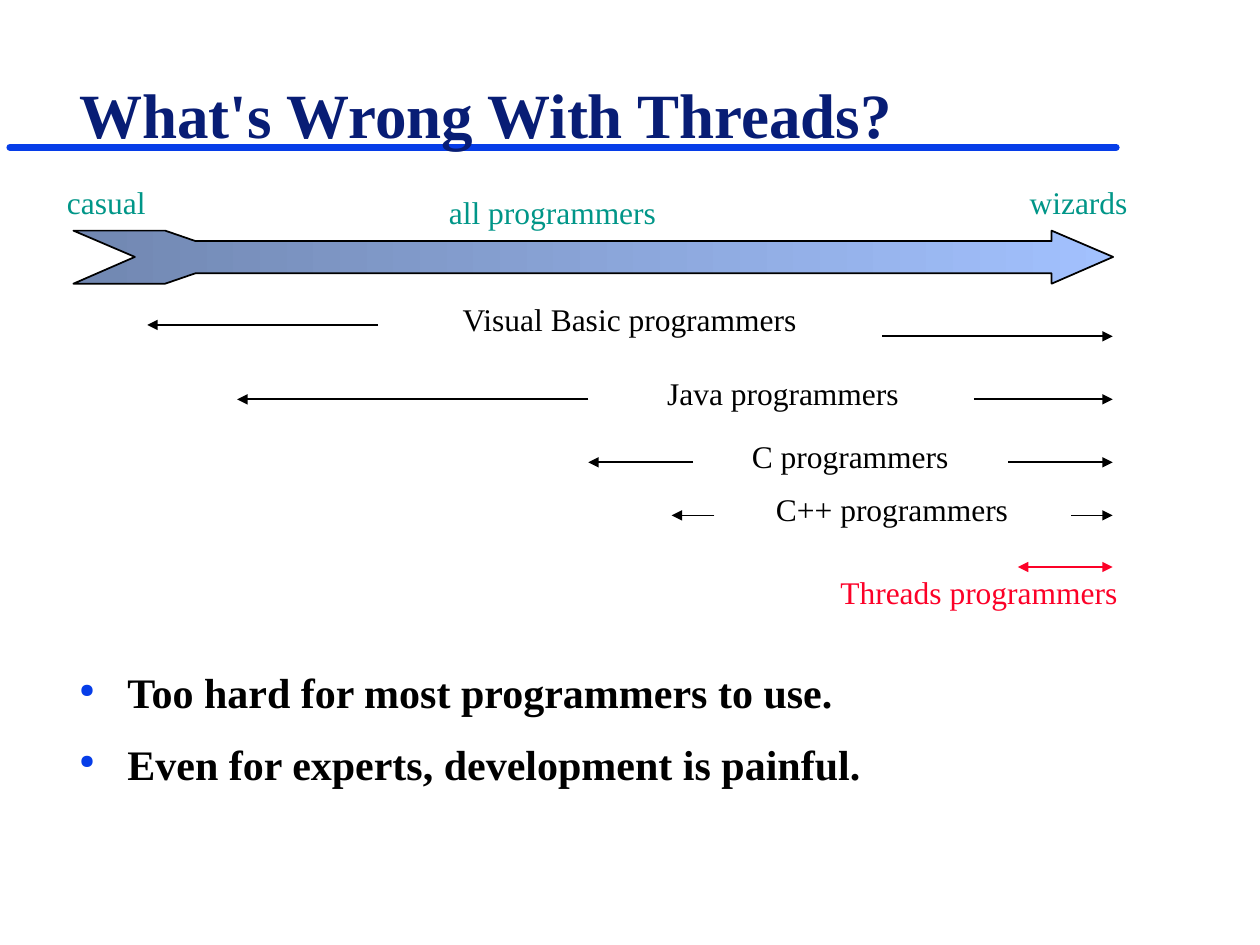
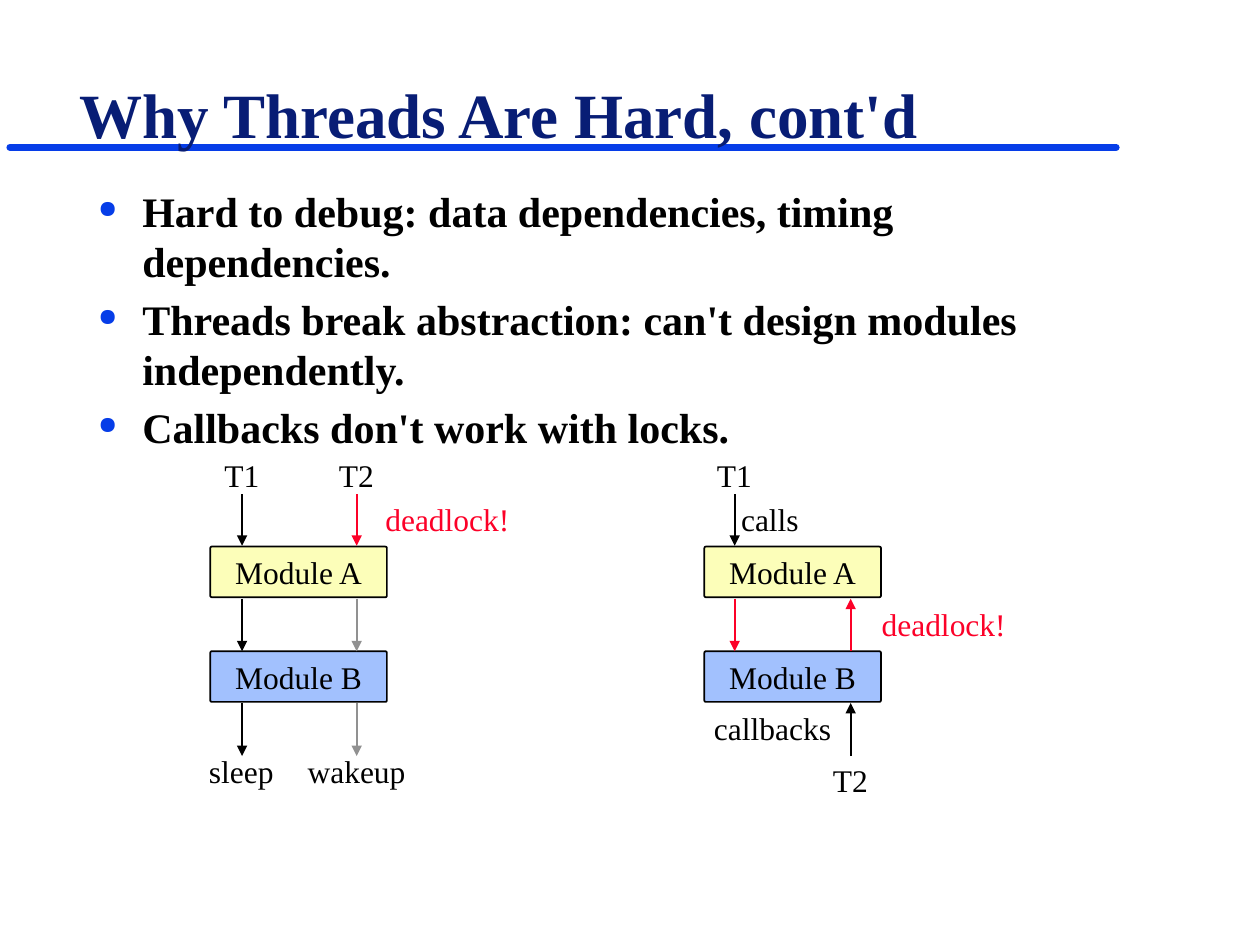
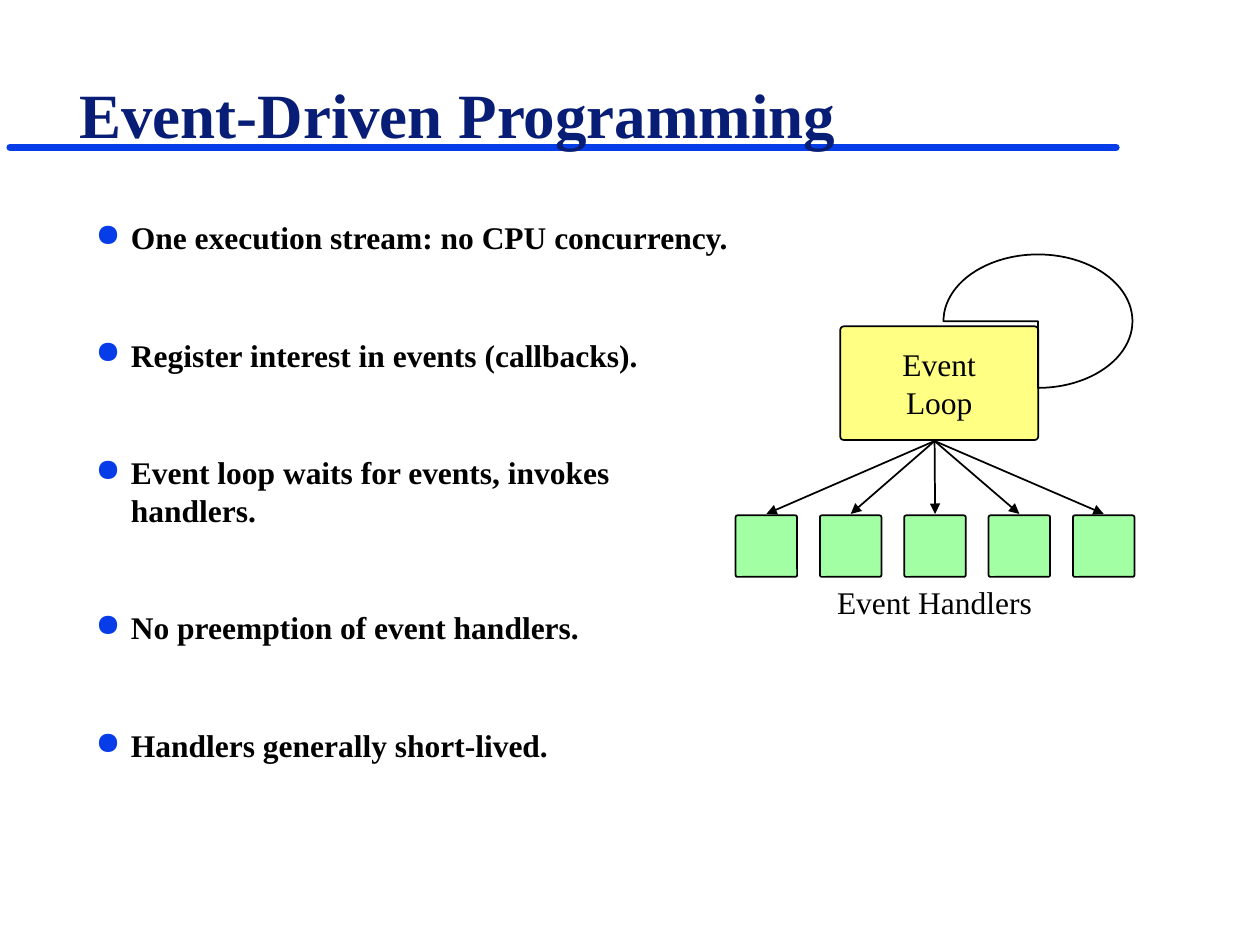
"""Build three slides on the difficulty of threads and on event-driven programming."""
from lxml import etree
from pptx import Presentation
from pptx.dml.color import RGBColor
from pptx.enum.shapes import MSO_CONNECTOR, MSO_SHAPE
from pptx.enum.text import MSO_ANCHOR, PP_ALIGN
from pptx.oxml.ns import qn
from pptx.util import Cm, Pt

STRAIGHT = MSO_CONNECTOR.STRAIGHT
ROUNDED = MSO_SHAPE.ROUNDED_RECTANGLE
PIE = MSO_SHAPE.PIE
LEFT, CENTER, RIGHT = PP_ALIGN.LEFT, PP_ALIGN.CENTER, PP_ALIGN.RIGHT
TOP, MIDDLE, BOTTOM = MSO_ANCHOR.TOP, MSO_ANCHOR.MIDDLE, MSO_ANCHOR.BOTTOM

FONT = "Times New Roman"
BLACK = RGBColor(0x00, 0x00, 0x00)
NAVY = RGBColor(0x08, 0x1D, 0x75)
BLUE = RGBColor(0x06, 0x3D, 0xE8)
TEAL = RGBColor(0x00, 0x96, 0x88)
RED = RGBColor(0xFC, 0x01, 0x28)
GRAY = RGBColor(0x91, 0x91, 0x91)
STEEL = RGBColor(0x71, 0x87, 0xB1)
LIGHT_BLUE = RGBColor(0xA2, 0xC1, 0xFE)
CREAM = RGBColor(0xFC, 0xFE, 0xB9)
YELLOW = RGBColor(0xFF, 0xFF, 0x84)
GREEN = RGBColor(0xA2, 0xFF, 0xA3)


def write_text(text_frame, text, size=18, color=BLACK, alignment=LEFT, anchor=TOP, bold=False):
    text_frame.text = text
    text_frame.word_wrap = True
    text_frame.vertical_anchor = anchor
    text_frame.margin_left = text_frame.margin_right = Cm(0.13)
    text_frame.margin_top = text_frame.margin_bottom = Cm(0.13)
    for paragraph in text_frame.paragraphs:
        paragraph.alignment = alignment
        for run in paragraph.runs:
            run.font.name = FONT
            run.font.size = Pt(size)
            run.font.bold = bold
            run.font.color.rgb = color


def add_line(slide, start, end, color=BLACK, width=1, ends=("tailEnd",)):
    connector = slide.shapes.add_connector(STRAIGHT, *map(Cm, start + end))
    connector.line.color.rgb = color
    connector.line.width = Pt(width)
    line = connector.get_or_add_ln()
    for line_end in ends:
        etree.SubElement(line, qn(f"a:{line_end}"), type="triangle")
    etree.SubElement(connector._element.spPr, qn("a:effectLst"))
    return connector


presentation = Presentation()
presentation.slide_width = Cm(25.4)
presentation.slide_height = Cm(19.05)

pages = [
    {
        "title": "What's Wrong With Threads?",
        "body": (13.31, 22.86, 4.9), "size": 24, "indent": 0.97, "hanging": 0.97,
        "gap": 12, "bullet_size": 46,
        "bullets": ["Too hard for most programmers to use.",
                    "Even for experts, development is painful."],
    },
    {
        "title": "Why Threads Are Hard, cont'd",
        "body": (3.61, 21.39, 12.7), "size": 24, "indent": 1.27, "hanging": 0.89,
        "gap": 4, "bullet_size": 58,
        "bullets": ["Hard to debug: data dependencies, timing dependencies.",
                    "Threads break abstraction: can't design modules independently.",
                    "Callbacks don't work with locks."],
    },
    {
        "title": "Event-Driven Programming",
        "body": (4.27, 13.59, 13.94), "size": 18, "indent": 1.04, "hanging": 0.71,
        "gap": 45.5, "bullet_size": 100,
        "bullets": ["One execution stream: no CPU concurrency.",
                    "Register interest in events (callbacks).",
                    "Event loop waits for events, invokes handlers.",
                    "No preemption of event handlers.",
                    "Handlers generally short-lived."],
    },
]

slides = []
for page in pages:
    slide = presentation.slides.add_slide(presentation.slide_layouts[6])
    slides.append(slide)
    rule = add_line(slide, (0.2, 2.97), (22.5, 2.97), BLUE, 4, ends=())
    rule.get_or_add_ln().set("cap", "rnd")
    title = slide.shapes.add_textbox(Cm(1.47), Cm(0.1), Cm(22.86), Cm(3.07))
    write_text(title.text_frame, page["title"], 36, NAVY, anchor=BOTTOM, bold=True)
    top, width, height = page["body"]
    body = slide.shapes.add_textbox(Cm(1.47), Cm(top), Cm(width), Cm(height))
    write_text(body.text_frame, "\n".join(page["bullets"]), page["size"], bold=True)
    for index, paragraph in enumerate(body.text_frame.paragraphs):
        properties = paragraph._p.get_or_add_pPr()
        properties.set("marL", str(Cm(page["indent"])))
        properties.set("indent", str(-Cm(page["hanging"])))
        bullet_color = etree.SubElement(properties, qn("a:buClr"))
        etree.SubElement(bullet_color, qn("a:srgbClr"), val=str(BLUE))
        etree.SubElement(properties, qn("a:buSzPct"), val=str(page["bullet_size"] * 1000))
        etree.SubElement(properties, qn("a:buChar"), char="●")
        if index:
            paragraph.space_before = Pt(page["gap"])

threads_slide, deadlock_slide, events_slide = slides

labels = [
    (threads_slide, "casual", 1.22, 3.56, 2.62, TEAL, LEFT),
    (threads_slide, "wizards", 19.66, 3.56, 3.2, TEAL, RIGHT),
    (threads_slide, "all programmers", 8.92, 3.76, 6.1, TEAL, LEFT),
    (threads_slide, "Visual Basic programmers", 7.82, 5.92, 9.75, BLACK, CENTER),
    (threads_slide, "Java programmers", 11.86, 7.42, 7.85, BLACK, CENTER),
    (threads_slide, "C programmers", 14.17, 8.69, 5.94, BLACK, CENTER),
    (threads_slide, "C++ programmers", 14.58, 9.75, 6.81, BLACK, CENTER),
    (threads_slide, "Threads programmers", 13.74, 11.43, 8.92, RED, RIGHT),
    (deadlock_slide, "T1", 4.01, 9.07, 1.73, BLACK, CENTER),
    (deadlock_slide, "T2", 6.12, 9.07, 2.13, BLACK, CENTER),
    (deadlock_slide, "deadlock!", 7.19, 9.96, 3.66, RED, CENTER),
    (deadlock_slide, "sleep", 3.58, 15.04, 2.57, BLACK, CENTER),
    (deadlock_slide, "wakeup", 5.49, 15.04, 3.4, BLACK, CENTER),
    (deadlock_slide, "T1", 13.94, 9.07, 1.73, BLACK, CENTER),
    (deadlock_slide, "calls", 14.81, 9.96, 3.2, BLACK, LEFT),
    (deadlock_slide, "deadlock!", 17.12, 12.07, 3.81, RED, CENTER),
    (deadlock_slide, "callbacks", 13.77, 14.17, 3.61, BLACK, CENTER),
    (deadlock_slide, "T2", 16.08, 15.21, 2.13, BLACK, CENTER),
    (events_slide, "Event Handlers", 15.65, 11.63, 6.38, BLACK, CENTER),
]
for slide, text, left, top, width, color, alignment in labels:
    label = slide.shapes.add_textbox(Cm(left), Cm(top), Cm(width), Cm(0.97))
    write_text(label.text_frame, text, color=color, alignment=alignment)

handler_lefts = [14.83 + 1.7 * index for index in range(5)]
boxes = [(events_slide, "Event\nLoop", 16.94, 6.58, 3.99, 2.29, YELLOW)]
for left in (4.24, 14.2):
    boxes.append((deadlock_slide, "Module A", left, 11.02, 3.56, 1.02, CREAM))
    boxes.append((deadlock_slide, "Module B", left, 13.13, 3.56, 1.02, LIGHT_BLUE))
for left in handler_lefts:
    boxes.append((events_slide, "", left, 10.39, 1.24, 1.24, GREEN))
for slide, text, left, top, width, height, color in boxes:
    box = slide.shapes.add_shape(ROUNDED, Cm(left), Cm(top), Cm(width), Cm(height))
    box.adjustments[0] = 0.03
    box.shadow.inherit = False
    box.fill.solid()
    box.fill.fore_color.rgb = color
    box.line.color.rgb = BLACK
    box.line.width = Pt(1)
    write_text(box.text_frame, text, alignment=CENTER, anchor=MIDDLE)

skill_outline = [
    (1.48, 4.65), (3.33, 4.65), (3.94, 4.86), (21.2, 4.86), (21.2, 4.65), (22.44, 5.18),
    (21.2, 5.72), (21.2, 5.51), (3.94, 5.51), (3.33, 5.72), (1.48, 5.72), (2.72, 5.18),
]
skill_points = [(Cm(x), Cm(y)) for x, y in skill_outline]
builder = threads_slide.shapes.build_freeform(*skill_points[0])
builder.add_line_segments(skill_points[1:], close=True)
skill_arrow = builder.convert_to_shape()
skill_arrow.shadow.inherit = False
skill_arrow.fill.gradient()
skill_arrow.fill.gradient_angle = 0
for stop, color in zip(skill_arrow.fill.gradient_stops, (STEEL, LIGHT_BLUE)):
    stop.color.rgb = color
skill_arrow.line.color.rgb = BLACK
skill_arrow.line.width = Pt(1)

WIZARD_X = 22.43
ranges = [
    (7.62, 2.97, 6.55, 17.78, 6.78),
    (11.86, 4.78, 8.05, 19.63, 8.05),
    (13.97, 11.86, 9.32, 20.32, 9.32),
    (14.4, 13.54, 10.39, 21.59, 10.39),
]
for left_start, left_end, left_y, right_start, right_y in ranges:
    add_line(threads_slide, (left_start, left_y), (left_end, left_y))
    add_line(threads_slide, (right_start, right_y), (WIZARD_X, right_y))
add_line(threads_slide, (WIZARD_X, 11.43), (20.52, 11.43), RED, ends=("headEnd", "tailEnd"))

ENTER, BETWEEN, LEAVE = (9.96, 11.0), (12.07, 13.13), (14.17, 15.24)
calls = [
    (4.88, ENTER, BLACK), (4.88, BETWEEN, BLACK), (4.88, LEAVE, BLACK),
    (7.19, ENTER, RED), (7.19, BETWEEN, GRAY), (7.19, LEAVE, GRAY),
    (14.81, ENTER, BLACK), (14.81, BETWEEN, RED),
    (17.15, BETWEEN[::-1], RED), (17.15, LEAVE[::-1], BLACK),
]
for x, (start_y, end_y), color in calls:
    add_line(deadlock_slide, (x, start_y), (x, end_y), color)

loop = events_slide.shapes.add_shape(PIE, Cm(19.02), Cm(5.13), Cm(3.81), Cm(2.69))
loop.adjustments[0] = 108
loop.adjustments[1] = 54
loop.shadow.inherit = False
loop.fill.background()
loop.line.color.rgb = BLACK
loop.line.width = Pt(1)
for left in handler_lefts:
    add_line(events_slide, (18.84, 8.89), (left + 0.62, 10.36))

presentation.save("out.pptx")
